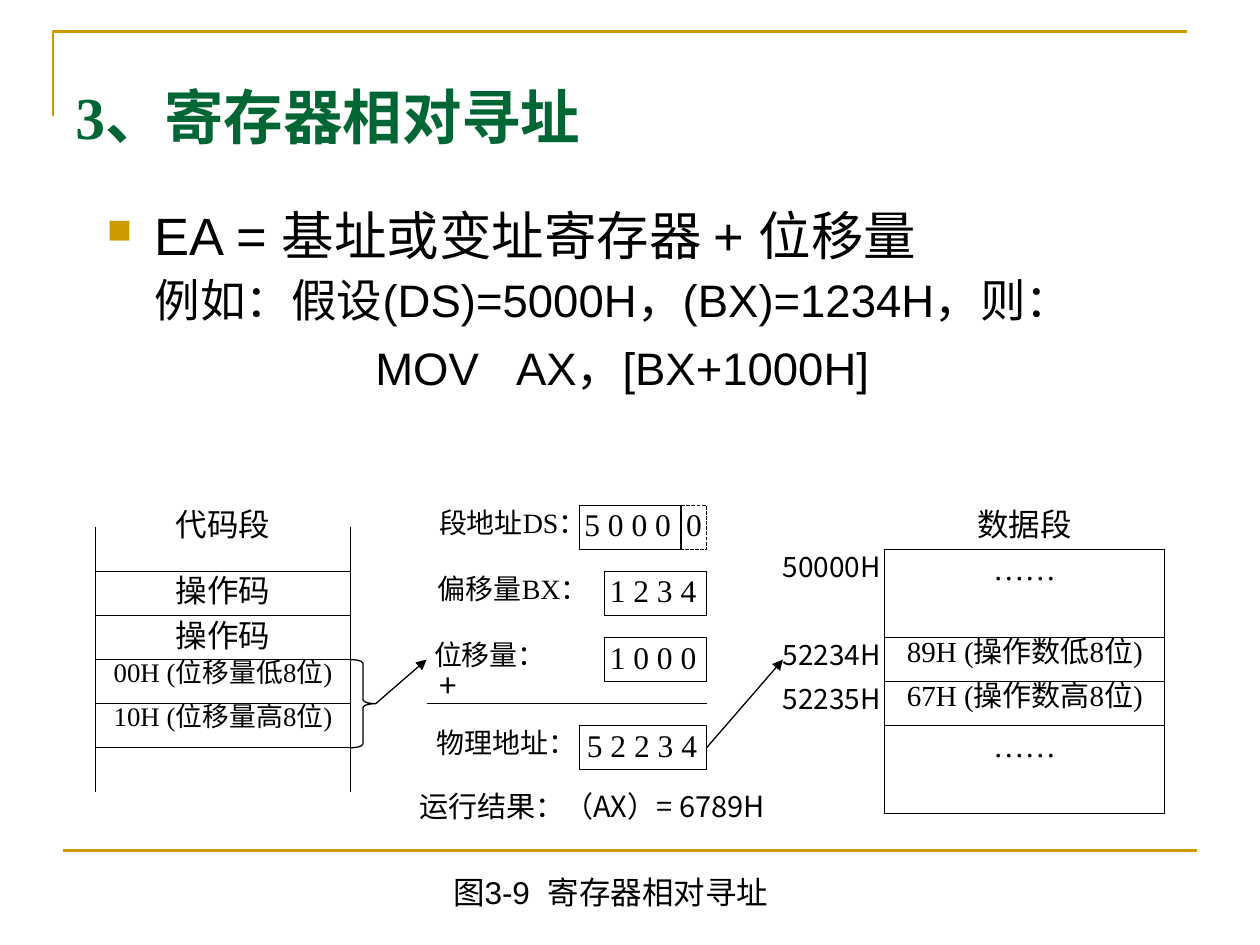
import pptx
import pptx.util
import pptx.dml.color
import pptx.enum.dml
import pptx.enum.shapes
import pptx.enum.text
import pptx.oxml
import pptx.oxml.ns

COLORS = {"gold": "CC9900", "green": "006633", "black": "000000"}
SERIF, SANS, CHINESE = "Times New Roman", "Arial", "Noto Sans CJK SC"
ALIGN = pptx.enum.text.PP_ALIGN
SHAPE = pptx.enum.shapes.MSO_SHAPE
inches = pptx.util.Inches

# Diagram grid: origin, column width and row height in inches
GRID_LEFT, GRID_TOP, COLUMN, ROW = 0.76, 4.01, 0.202, 0.175


def grid_point(column, row):
    return inches(GRID_LEFT + column * COLUMN), inches(GRID_TOP + row * ROW)


def grid_box(column, row, columns, rows):
    return (*grid_point(column, row), inches(columns * COLUMN), inches(rows * ROW))


def color(name):
    return pptx.dml.color.RGBColor.from_string(COLORS[name])


def element(tag, **attributes):
    item = pptx.oxml.parse_xml(f"<a:{tag} {pptx.oxml.ns.nsdecls('a')}/>")
    for name, value in attributes.items():
        item.set(name, str(value))
    return item


def add_run(paragraph, text, size, font=SERIF, ink="black", bold=False, spacing=0):
    run = paragraph.add_run()
    run.text = text
    run.font.size = pptx.util.Pt(size)
    run.font.name = font
    run.font.bold = bold
    run.font.color.rgb = color(ink)
    properties = run._r.get_or_add_rPr()
    properties.find(pptx.oxml.ns.qn("a:latin")).addnext(element("ea", typeface=CHINESE))
    if spacing:
        properties.set("spc", str(spacing * 100))


def prepare_frame(shape, margins, align):
    frame = shape.text_frame
    frame.word_wrap = True
    frame.vertical_anchor = pptx.enum.text.MSO_ANCHOR.TOP
    (frame.margin_left, frame.margin_top,
     frame.margin_right, frame.margin_bottom) = map(inches, margins)
    paragraph = frame.paragraphs[0]
    paragraph.alignment = align
    return paragraph


def add_label(slide, box, text, size=16, font=SERIF, align=ALIGN.CENTER,
              margins=(0, 0, 0, 0), line_spacing=1.0):
    label = slide.shapes.add_textbox(*grid_box(*box))
    paragraph = prepare_frame(label, margins, align)
    paragraph.line_spacing = line_spacing
    add_run(paragraph, text, size, font)
    return label


def add_cell(slide, box, text, size=18, align=ALIGN.CENTER, left_margin=0, line_spacing=1.0):
    cell = slide.shapes.add_shape(SHAPE.RECTANGLE, *grid_box(*box))
    cell.shadow.inherit = False
    cell.fill.background()
    cell.line.color.rgb = color("black")
    cell.line.width = pptx.util.Pt(0.75)
    paragraph = prepare_frame(cell, (left_margin, 0, 0, 0), align)
    paragraph.line_spacing = line_spacing
    add_run(paragraph, text, size)
    return cell


def add_line(slide, start, end, ink="black", width=0.75, arrow=False):
    line = slide.shapes.add_connector(pptx.enum.shapes.MSO_CONNECTOR.STRAIGHT, *start, *end)
    line.line.color.rgb = color(ink)
    line.line.width = pptx.util.Pt(width)
    if arrow:
        line.line._get_or_add_ln().append(element("tailEnd", type="triangle"))
    line._element.spPr.append(element("effectLst"))
    return line


def draw_frame(slide, left, top, width, height):
    # Corner rule above the title
    builder = slide.shapes.build_freeform(inches(left), inches(top + 0.67))
    builder.add_line_segments(
        [(inches(left), inches(top)), (inches(left + width), inches(top))], close=False)
    corner = builder.convert_to_shape()
    corner.shadow.inherit = False
    corner.fill.background()
    corner.line.color.rgb = color("gold")
    corner.line.width = pptx.util.Pt(1.5)
    # Footer rule
    footer_left, footer_top = left + 0.08, top + height
    add_line(slide, (inches(footer_left), inches(footer_top)),
             (inches(footer_left + width), inches(footer_top)), "gold", 1.5)


def draw_title(slide, *box):
    title = slide.shapes.add_textbox(*map(inches, box))
    paragraph = prepare_frame(title, (0.1, 0.05, 0.1, 0.05), ALIGN.LEFT)
    add_run(paragraph, "3、寄存器相对寻址", 34, ink="green", bold=True)


def draw_body(slide, *box):
    body = slide.shapes.add_textbox(*map(inches, box))
    formula = prepare_frame(body, (0.1, 0.05, 0.1, 0.05), ALIGN.LEFT)
    example = body.text_frame.add_paragraph()
    instruction = body.text_frame.add_paragraph()
    hanging = inches(0.38)

    # Bulleted formula
    properties = formula._p.get_or_add_pPr()
    properties.set("marL", str(hanging))
    properties.set("indent", str(-hanging))
    bullet_color = element("buClr")
    bullet_color.append(element("srgbClr", val=COLORS["gold"]))
    properties.extend([bullet_color, element("buSzPct", val=65000), element("buChar", char="■")])
    add_run(formula, "EA = 基址或变址寄存器 + 位移量", 30, SANS)

    # Example aligned with the formula text
    example._p.get_or_add_pPr().set("marL", str(hanging))
    example.space_before = pptx.util.Pt(6.5)
    add_run(example, "例如：假设(DS)=5000H，(BX)=1234H，则：", 26, SANS)

    # Centred instruction
    instruction._p.get_or_add_pPr().set("marR", str(inches(0.12)))
    instruction.alignment = ALIGN.CENTER
    instruction.space_before = pptx.util.Pt(10.5)
    add_run(instruction, "MOV", 26, SANS)
    add_run(instruction, " ", 26, SANS, spacing=14)
    add_run(instruction, "AX，[BX+1000H]", 26, SANS)
    for paragraph in body.text_frame.paragraphs:
        paragraph.line_spacing = 0.9


def draw_code_segment(slide, column, row, columns, rows):
    add_label(slide, (column, row, columns, 2), "代码段", 18)
    cells = [("操作码", 18, 1.0), ("操作码", 18, 1.0),
             ("00H (位移量低8位)", 15.3, 0.9), ("10H (位移量高8位)", 15.3, 0.9)]
    for index, (text, size, spacing) in enumerate(cells):
        add_cell(slide, (column, row + 3 + 2 * index, columns, 2), text, size,
                 line_spacing=spacing)
    # Open ends of the segment
    for side in (column, column + columns):
        for start, end in ((3, 1), (rows, rows - 2)):
            add_line(slide, grid_point(side, row + start), grid_point(side, row + end))
    # Brace around the two displacement bytes
    brace = slide.shapes.add_shape(SHAPE.RIGHT_BRACE,
                                   *grid_box(column + columns, row + 7, 1, 4))
    brace.adjustments[0] = 0.15
    brace.shadow.inherit = False
    brace.fill.background()
    brace.line.color.rgb = color("black")
    brace.line.width = pptx.util.Pt(0.75)
    return grid_point(column + columns + 1, row + 9)


def draw_address_sum(slide, column, row, columns):
    right = column + columns
    justify = ALIGN.JUSTIFY
    # Operand names
    add_label(slide, (column, row, 8, 2), "段地址DS：", align=ALIGN.LEFT, margins=(0.1, 0, 0, 0))
    add_label(slide, (column, row + 3, 7, 2), "偏移量BX：", margins=(0.06, 0, 0.1, 0))
    displacement = add_label(slide, (column, row + 6, 6, 2), "位移量：", align=justify,
                             margins=(0.06, 0, 0.1, 0))
    add_label(slide, (column, row + 10, 6, 2), "物理地址：", margins=(0.06, 0, 0, 0))
    # Operand values, the appended zero dotted
    add_cell(slide, (right - 5, row, 4, 2), "5 0 0 0", 18, justify, 0.04)
    zero = add_cell(slide, (right - 1, row, 1, 2), "0", 18, justify, 0.04)
    zero.line.dash_style = pptx.enum.dml.MSO_LINE.SQUARE_DOT
    for offset, text in ((3, "1 2 3 4"), (6, "1 0 0 0")):
        add_cell(slide, (right - 4, row + offset, 4, 2), text, 18, justify, 0.04)
    # Sum
    add_label(slide, (column, row + 7, 3, 3), "+", 18, CHINESE, justify, (0.1, 0.05, 0.1, 0.05))
    add_line(slide, grid_point(column, row + 9), grid_point(right, row + 9))
    total = add_cell(slide, (right - 5, row + 10, 5, 2), "5 2 2 3 4", 18, justify, 0.06)
    add_label(slide, (column - 1, row + 13, 15, 2), "运行结果：（AX）= 6789H", 16.6, CHINESE,
              line_spacing=0.9)
    return displacement, total


def draw_data_segment(slide, column, row, columns):
    add_label(slide, (column, row, columns, 2), "数据段", 18)
    cells = [(2, 4, "……", 18, 1.0), (6, 2, "89H (操作数低8位)", 16.6, 0.9),
             (8, 2, "67H (操作数高8位)", 16.6, 0.9), (10, 4, "……", 18, 1.0)]
    for offset, height, text, size, spacing in cells:
        add_cell(slide, (column, row + offset, columns, height), text, size,
                 line_spacing=spacing)
    # Addresses left of the cells
    addresses = {}
    for offset, text in ((2, "50000H"), (6, "52234H"), (8, "52235H")):
        addresses[text] = add_label(slide, (column - 4, row + offset, 4, 2), text,
                                    font=CHINESE, align=ALIGN.JUSTIFY)
    return addresses["52234H"]


def draw_diagram(slide):
    brace_tip = draw_code_segment(slide, 0, 0, 10, 13)
    displacement, total = draw_address_sum(slide, 13, 0, 11)
    operand_address = draw_data_segment(slide, 31, 0, 11)
    add_line(slide, brace_tip, grid_point(13, 7), arrow=True).end_connect(displacement, 1)
    result_arrow = add_line(slide, grid_point(24, 11), grid_point(27, 7), arrow=True)
    result_arrow.begin_connect(total, 3)
    result_arrow.end_connect(operand_address, 1)


def draw_caption(slide, *box):
    caption = slide.shapes.add_textbox(*map(inches, box))
    paragraph = prepare_frame(caption, (0.1, 0.05, 0.1, 0.05), ALIGN.CENTER)
    add_run(paragraph, "图3-9", 18, SANS)
    add_run(paragraph, " ", 18, SANS, spacing=5)
    add_run(paragraph, "寄存器相对寻址", 18, SANS)


def main():
    presentation = pptx.Presentation()
    presentation.slide_width, presentation.slide_height = inches(10), inches(7.5)
    slide = presentation.slides.add_slide(presentation.slide_layouts[6])
    draw_frame(slide, 0.42, 0.25, 9, 6.5)
    draw_title(slide, 0.5, 0.59, 9, 0.87)
    draw_body(slide, 0.75, 1.62, 8.5, 1.73)
    draw_diagram(slide)
    draw_caption(slide, 1.72, 6.88, 6.25, 0.4)
    presentation.save("out.pptx")


if __name__ == "__main__":
    main()
